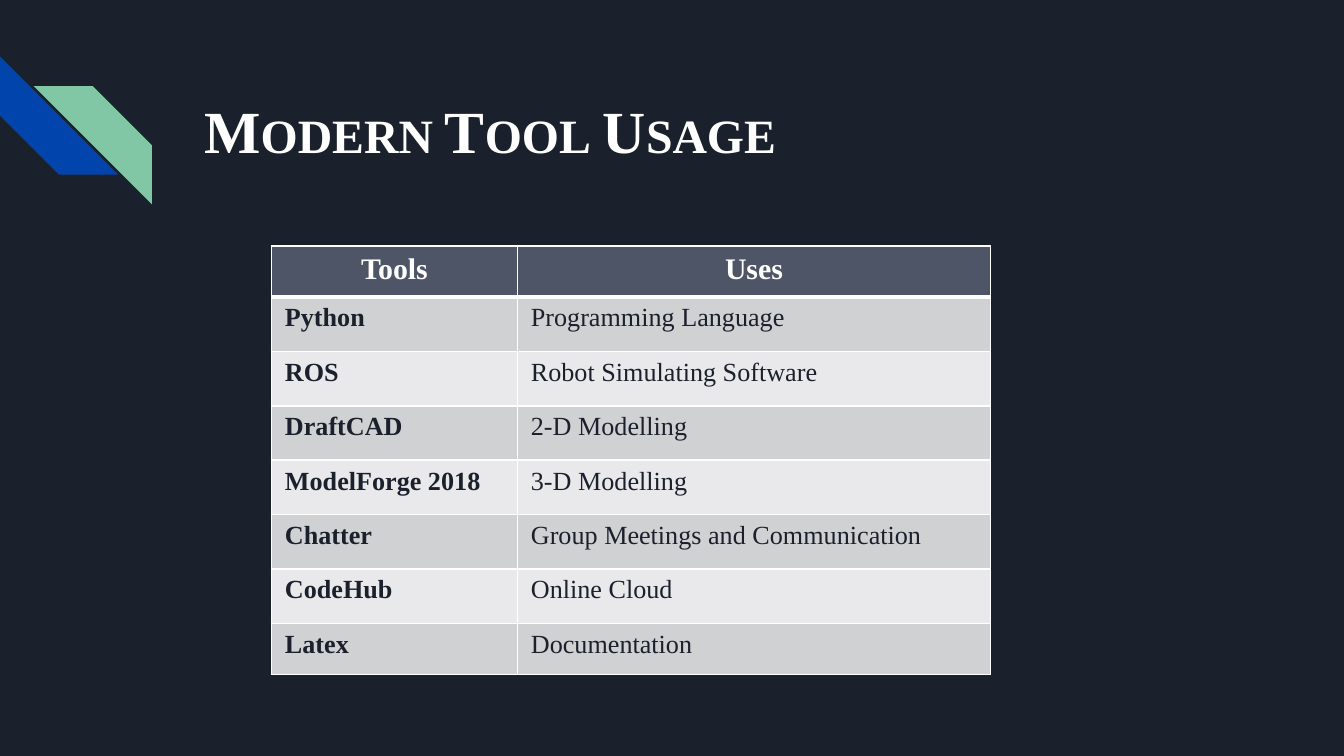
from lxml.etree import SubElement
from pptx import Presentation
from pptx.dml.color import RGBColor
from pptx.enum.shapes import MSO_SHAPE
from pptx.enum.text import MSO_ANCHOR, PP_ALIGN
from pptx.oxml.ns import qn
from pptx.util import Inches, Pt

FONT = "Times New Roman"
WHITE = "FFFFFF"
NAVY = "1B212C"
HEADER_FILL = "4E5567"
BAND_FILLS = ["D0D1D3", "E9E9EB"]
TOOLS = [
    ("Python", "Programming Language"),
    ("ROS", "Robot Simulating Software"),
    ("DraftCAD", "2-D Modelling"),
    ("ModelForge 2018", "3-D Modelling"),
    ("Chatter", "Group Meetings and Communication"),
    ("CodeHub", "Online Cloud"),
    ("Latex", "Documentation"),
]


def color(value):
    return RGBColor.from_string(value)


def fill_solid(fill, value):
    fill.solid()
    fill.fore_color.rgb = color(value)


def add_run(paragraph, text, size, value, bold):
    run = paragraph.add_run()
    run.text = text
    run.font.name = FONT
    run.font.size = Pt(size)
    run.font.bold = bold
    run.font.color.rgb = color(value)
    return run


def add_stripe(slide, left, top, rotation, value):
    shape = slide.shapes.add_shape(
        MSO_SHAPE.DIAGONAL_STRIPE, Inches(left), Inches(top), Inches(0.88), Inches(0.88)
    )
    shape.rotation = rotation
    shape.shadow.inherit = False
    fill_solid(shape.fill, value)
    shape.line.fill.background()


def set_title(slide, text):
    title = slide.shapes.title
    title.left, title.top = Inches(1.42), Inches(0.6)
    title.width, title.height = Inches(7.7), Inches(0.8)
    frame = title.text_frame
    frame.word_wrap = True
    frame.vertical_anchor = MSO_ANCHOR.TOP
    frame.margin_left = frame.margin_right = Inches(0.1)
    frame.margin_top = frame.margin_bottom = Inches(0.1)
    paragraph = frame.paragraphs[0]
    paragraph.alignment = PP_ALIGN.LEFT
    run = add_run(paragraph, text, 32, WHITE, True)
    run.font._element.set("cap", "small")


def set_borders(cell, widths):
    properties = cell._tc.get_or_add_tcPr()
    for side, width in widths.items():
        line = SubElement(properties, qn(f"a:ln{side}"), w=str(Pt(width)))
        SubElement(SubElement(line, qn("a:solidFill")), qn("a:srgbClr"), val=WHITE)


def fill_cell(cell, text, row, column):
    is_header = row == 0
    set_borders(cell, {"L": 1, "R": 1, "T": 3 if row == 1 else 1, "B": 3 if is_header else 1})
    fill_solid(cell.fill, HEADER_FILL if is_header else BAND_FILLS[(row - 1) % 2])
    paragraph = cell.text_frame.paragraphs[0]
    paragraph.alignment = PP_ALIGN.CENTER if is_header else PP_ALIGN.LEFT
    size, value = (16, WHITE) if is_header else (14, NAVY)
    add_run(paragraph, text, size, value, is_header or column == 0)


def add_tools_table(slide, rows):
    height, edge_height = 3.19, 0.38
    table = slide.shapes.add_table(
        len(rows), 2, Inches(2.02), Inches(1.83), Inches(5.35), Inches(height)
    ).table
    for column, width in zip(table.columns, [1.83, 3.52]):
        column.width = Inches(width)
    for row in table.rows:
        row.height = Inches((height - 2 * edge_height) / (len(rows) - 2))
    for index in (0, len(rows) - 1):
        table.rows[index].height = Inches(edge_height)
    for row, texts in enumerate(rows):
        for column, text in enumerate(texts):
            fill_cell(table.cell(row, column), text, row, column)


def main():
    presentation = Presentation()
    presentation.slide_width = Inches(10)
    presentation.slide_height = Inches(10 * 9 / 16)
    slide = presentation.slides.add_slide(presentation.slide_layouts[5])
    fill_solid(slide.background.fill, NAVY)
    add_stripe(slide, 0, 0.42, 270, "0145AC")
    add_stripe(slide, 0.25, 0.64, 90, "82C7A5")
    set_title(slide, "Modern Tool Usage")
    add_tools_table(slide, [("Tools", "Uses")] + TOOLS)
    presentation.save("out.pptx")


if __name__ == "__main__":
    main()
